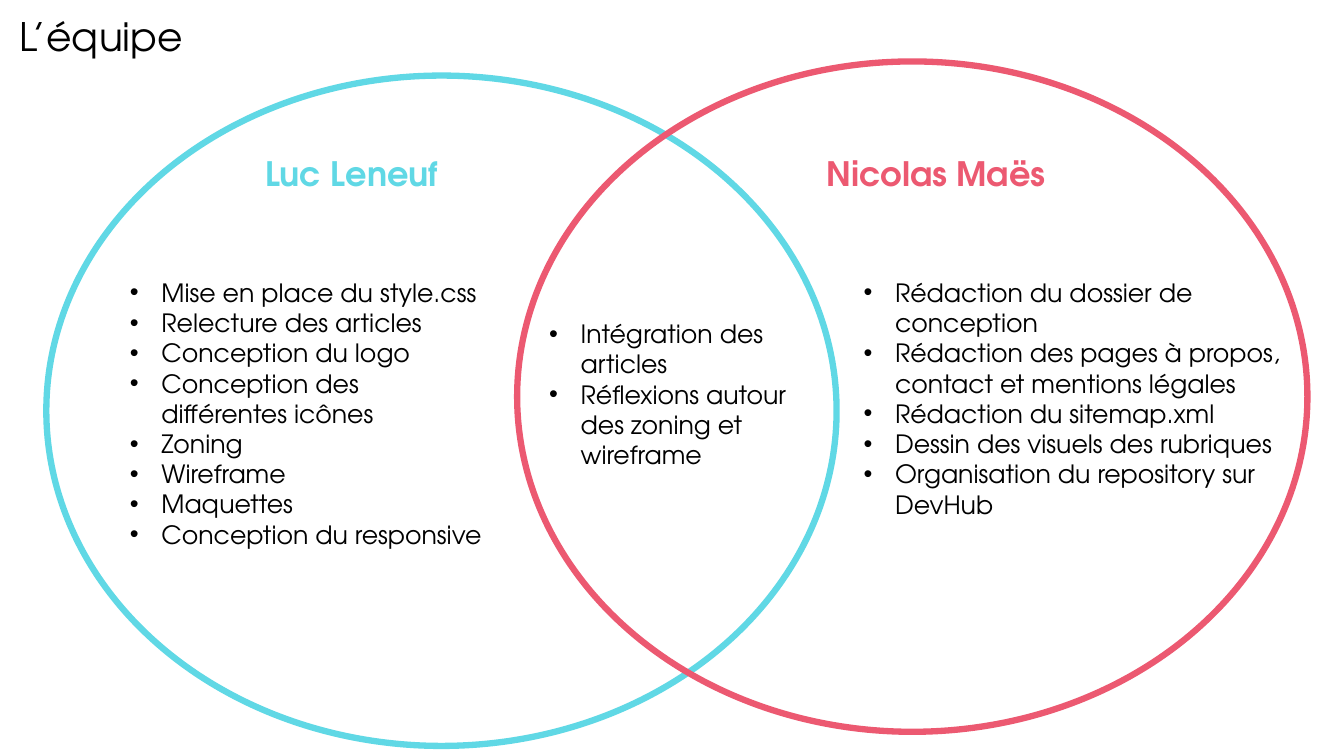
from lxml import etree
from pptx import Presentation
from pptx.dml.color import RGBColor
from pptx.enum.shapes import MSO_SHAPE
from pptx.enum.text import MSO_ANCHOR, MSO_AUTO_SIZE
from pptx.oxml.ns import qn
from pptx.util import Pt

OVAL = MSO_SHAPE.OVAL
TOP = MSO_ANCHOR.TOP
GROW = MSO_AUTO_SIZE.SHAPE_TO_FIT_TEXT

# Content
FONT = "TeX Gyre Adventor"
BLACK, CYAN, PINK = "000000", "60D8E5", "EC5971"
TITLE = "L’équipe"

# Task lists: left, top, width, height, items
TASKS = [
    (385.2, 223.9, 189.4, 138.2, [
        "Intégration des articles",
        "Réflexions autour des zoning et wireframe",
    ]),
    (85.7, 194.4, 267.1, 203.8, [
        "Mise en place du style.css",
        "Relecture des articles",
        "Conception du logo",
        "Conception des différentes icônes",
        "Zoning",
        "Wireframe",
        "Maquettes",
        "Conception du responsive",
    ]),
    (609.8, 194.4, 316.8, 181.4, [
        "Rédaction du dossier de conception",
        "Rédaction des pages à propos, contact et mentions légales",
        "Rédaction du sitemap.xml",
        "Dessin des visuels des rubriques",
        "Organisation du repository sur DevHub",
    ]),
]

# Members: name, colour, name left, name width, circle left, circle top
MEMBERS = [
    ("Luc Leneuf", CYAN, 182.2, 157.7, 33.1, 54),
    ("Nicolas Maës", PINK, 583.2, 185, 369.4, 43.9),
]
NAME_TOP, NAME_H = 105.8, 36
CIRCLE_W, CIRCLE_H = 564.5, 478.8
INDENT = 22.5


def rgb(value):
    return RGBColor.from_string(value)


def add_bullet(p):
    pPr = p._p.get_or_add_pPr()
    pPr.set("marL", str(Pt(INDENT)))
    pPr.set("indent", str(-Pt(INDENT)))
    etree.SubElement(pPr, qn("a:buFont")).set("typeface", "Arial")
    etree.SubElement(pPr, qn("a:buChar")).set("char", "•")


def add_text(slide, box, lines, size, color=BLACK, bold=False, bullets=False):
    sp = slide.shapes.add_textbox(*map(Pt, box))
    tf = sp.text_frame
    tf.word_wrap = True
    tf.auto_size = GROW
    tf.vertical_anchor = TOP
    tf.text = "\n".join(lines)
    for p in tf.paragraphs:
        if bullets:
            add_bullet(p)
        for r in p.runs:
            r.font.name = FONT
            r.font.size = Pt(size)
            r.font.bold = bold
            r.font.color.rgb = rgb(color)


def add_circle(slide, left, top, color):
    sp = slide.shapes.add_shape(OVAL, Pt(left), Pt(top), Pt(CIRCLE_W), Pt(CIRCLE_H))
    sp.shadow.inherit = False
    sp.fill.background()
    sp.line.color.rgb = rgb(color)
    sp.line.width = Pt(4.5)


def main():
    prs = Presentation()
    prs.slide_width, prs.slide_height = Pt(960), Pt(540)
    slide = prs.slides.add_slide(prs.slide_layouts[6])

    # Title and task lists
    add_text(slide, (6.5, 5, 267.1, 41), [TITLE], 28)
    for *box, items in TASKS:
        add_text(slide, box, items, 18, bullets=True)

    # Overlapping circles with the member names
    for name, color, name_left, name_w, left, top in MEMBERS:
        add_circle(slide, left, top, color)
        add_text(slide, (name_left, NAME_TOP, name_w, NAME_H), [name], 24, color, bold=True)

    prs.save("out.pptx")


if __name__ == "__main__":
    main()
